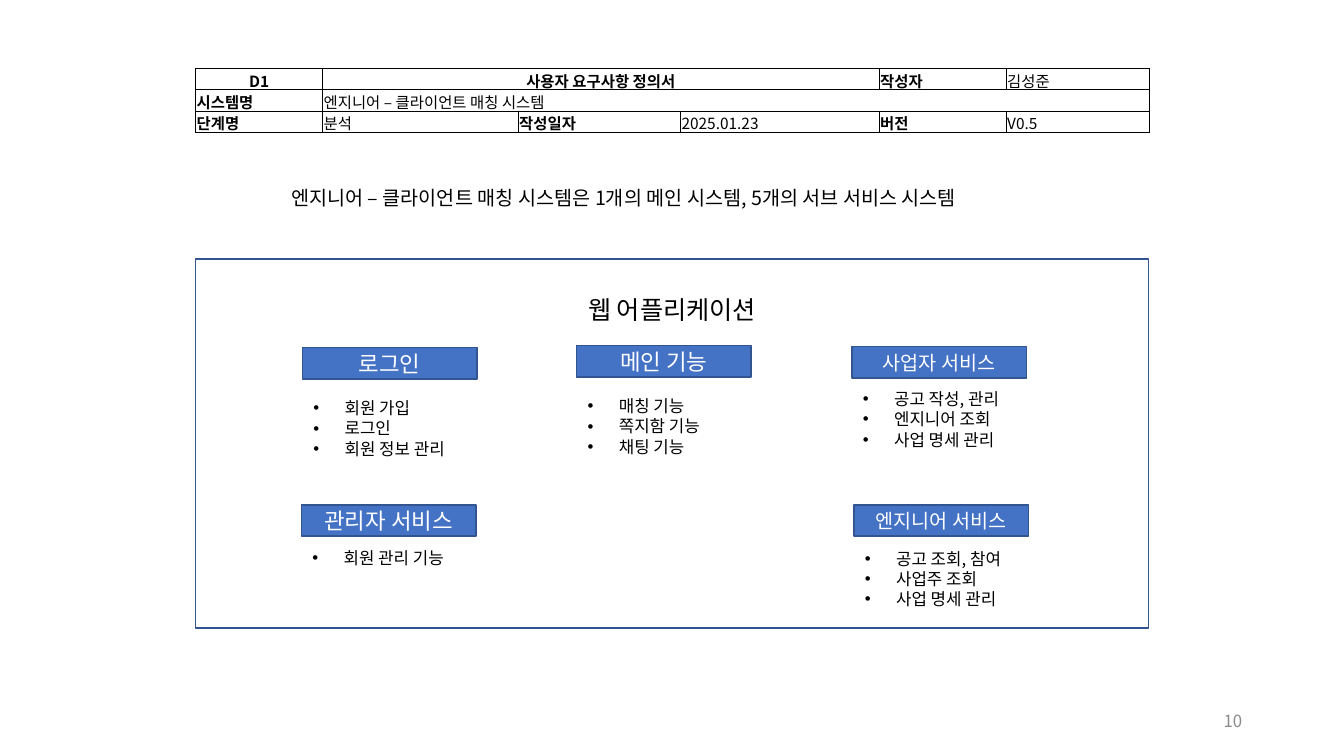
from lxml import etree
from pptx import Presentation
from pptx.dml.color import RGBColor
from pptx.enum.shapes import MSO_SHAPE
from pptx.enum.text import MSO_ANCHOR, PP_ALIGN
from pptx.oxml.ns import qn
from pptx.util import Inches, Pt

RECT = MSO_SHAPE.RECTANGLE
TOP, MIDDLE = MSO_ANCHOR.TOP, MSO_ANCHOR.MIDDLE
LEFT, CENTER, RIGHT = PP_ALIGN.LEFT, PP_ALIGN.CENTER, PP_ALIGN.RIGHT

FONT = "Noto Sans CJK KR"
BLACK, WHITE, GREY = "000000", "FFFFFF", "8C8C8C"
BLUE, NAVY = "4472C4", "325491"

SUMMARY = "엔지니어 – 클라이언트 매칭 시스템은 1개의 메인 시스템, 5개의 서브 서비스 시스템"
PANEL_TITLE = "웹 어플리케이션"
PAGE_NUMBER = "10"

HEADER_COLUMNS = [1.26, 1.94, 1.61, 1.97, 1.26, 1.42]
HEADER_ROW = 0.21
# row, column, columns spanned, text, bold, alignment
HEADER_CELLS = [
    (0, 0, 1, "D1", True, CENTER),
    (0, 1, 3, "사용자 요구사항 정의서", True, CENTER),
    (0, 4, 1, "작성자", True, LEFT),
    (0, 5, 1, "김성준", False, LEFT),
    (1, 0, 1, "시스템명", True, LEFT),
    (1, 1, 5, "엔지니어 – 클라이언트 매칭 시스템", False, LEFT),
    (2, 0, 1, "단계명", True, LEFT),
    (2, 1, 1, "분석", False, LEFT),
    (2, 2, 1, "작성일자", True, LEFT),
    (2, 3, 1, "2025.01.23", False, LEFT),
    (2, 4, 1, "버전", True, LEFT),
    (2, 5, 1, "V0.5", False, LEFT),
]

# name, text size, left, top, top of feature list, features
SERVICES = [
    ("로그인", 16, 3.0, 3.45, 3.9, ["회원 가입", "로그인", "회원 정보 관리"]),
    ("메인 기능", 16, 5.72, 3.43, 3.88, ["매칭 기능", "쪽지함 기능", "채팅 기능"]),
    ("사업자 서비스", 14, 8.45, 3.44, 3.81, ["공고 작성, 관리", "엔지니어 조회", "사업 명세 관리"]),
    ("관리자 서비스", 16, 2.99, 5.01, 5.38, ["회원 관리 기능"]),
    ("엔지니어 서비스", 14, 8.47, 5.01, 5.39, ["공고 조회, 참여", "사업주 조회", "사업 명세 관리"]),
]
SERVICE_WIDTH, SERVICE_HEIGHT = 1.73, 0.31
FEATURE_WIDTH, FEATURE_LINE, FEATURE_INDENT = 1.8, 0.2, 0.31
CONTENT_LEFT, CONTENT_WIDTH = 1.94, 9.45


def rgb(value):
    return RGBColor.from_string(value)


def write(frame, *lines, size=12, color=BLACK, bold=False, align=LEFT,
          anchor=TOP, leading=1.2, bullet=False):
    """Fill a text frame, one paragraph per line; leading is in ems."""
    frame.word_wrap = True
    frame.vertical_anchor = anchor
    for index, line in enumerate(lines):
        paragraph = frame.add_paragraph() if index else frame.paragraphs[0]
        paragraph.alignment = align
        if leading:
            paragraph.line_spacing = Pt(size * leading)
        if bullet:
            properties = paragraph._p.get_or_add_pPr()
            properties.set("marL", str(Inches(FEATURE_INDENT)))
            properties.set("indent", str(-Inches(FEATURE_INDENT)))
            etree.SubElement(properties, qn("a:buFont")).set("typeface", "Arial")
            etree.SubElement(properties, qn("a:buChar")).set("char", "•")
        run = paragraph.add_run()
        run.text = line
        run.font.size, run.font.bold, run.font.name = Pt(size), bold, FONT
        run.font.color.rgb = rgb(color)
        etree.SubElement(run._r.get_or_add_rPr(), qn("a:ea")).set("typeface", FONT)


def add_text(slide, box, *lines, **text_format):
    write(slide.shapes.add_textbox(*map(Inches, box)).text_frame, *lines, **text_format)


def add_box(slide, box, fill=None):
    shape = slide.shapes.add_shape(RECT, *map(Inches, box))
    shape.shadow.inherit = False
    if fill:
        shape.fill.solid()
        shape.fill.fore_color.rgb = rgb(fill)
    else:
        shape.fill.background()
    shape.line.color.rgb = rgb(NAVY)
    shape.line.width = Pt(1)
    return shape.text_frame


def style_cell(cell):
    """Give a cell thin black borders, no fill and narrow margins."""
    properties = cell._tc.get_or_add_tcPr()
    for side in ("lnL", "lnR", "lnT", "lnB"):
        border = etree.SubElement(properties, qn("a:" + side), w=str(Pt(0.5)))
        fill = etree.SubElement(border, qn("a:solidFill"))
        etree.SubElement(fill, qn("a:srgbClr")).set("val", BLACK)
    cell.fill.background()
    cell.margin_left = cell.margin_right = cell.margin_top = Inches(0.01)
    cell.margin_bottom = 0
    cell.vertical_anchor = MIDDLE


def add_header(slide):
    rows = 1 + max(entry[0] for entry in HEADER_CELLS)
    box = (CONTENT_LEFT, 0.68, CONTENT_WIDTH, HEADER_ROW * rows)
    table = slide.shapes.add_table(rows, len(HEADER_COLUMNS), *map(Inches, box)).table
    table.first_row = table.horz_banding = False
    for column, width in zip(table.columns, HEADER_COLUMNS):
        column.width = Inches(width)
    for row in table.rows:
        row.height = Inches(HEADER_ROW)
        for cell in row.cells:
            style_cell(cell)
            cell.text_frame.paragraphs[0].font.size = Pt(11)
    for row, column, span, text, bold, align in HEADER_CELLS:
        cell = table.cell(row, column)
        if span > 1:
            cell.merge(table.cell(row, column + span - 1))
        write(cell.text_frame, text, size=11, bold=bold, align=align,
              anchor=MIDDLE, leading=None)


def add_service(slide, name, size, left, top, list_top, features):
    button = add_box(slide, (left, top, SERVICE_WIDTH, SERVICE_HEIGHT), BLUE)
    write(button, name, size=size, color=WHITE, align=CENTER, anchor=MIDDLE)
    height = FEATURE_LINE * len(features) + 0.1
    add_text(slide, (left + 0.01, list_top, FEATURE_WIDTH, height), *features, bullet=True)


def main():
    deck = Presentation()
    deck.slide_width, deck.slide_height = Inches(13.33), Inches(7.5)
    slide = deck.slides.add_slide(deck.slide_layouts[6])

    add_text(slide, (9.42, 6.95, 3, 0.4), PAGE_NUMBER, color=GREY, align=RIGHT, anchor=MIDDLE)
    add_header(slide)
    panel = add_box(slide, (CONTENT_LEFT, 2.57, CONTENT_WIDTH, 3.66))
    panel.margin_top = Inches(0.35)
    write(panel, PANEL_TITLE, size=18, align=CENTER)
    add_text(slide, (2.79, 1.8, 7.6, 0.34), SUMMARY, size=14)
    for service in SERVICES:
        add_service(slide, *service)
    deck.save("out.pptx")


if __name__ == "__main__":
    main()
